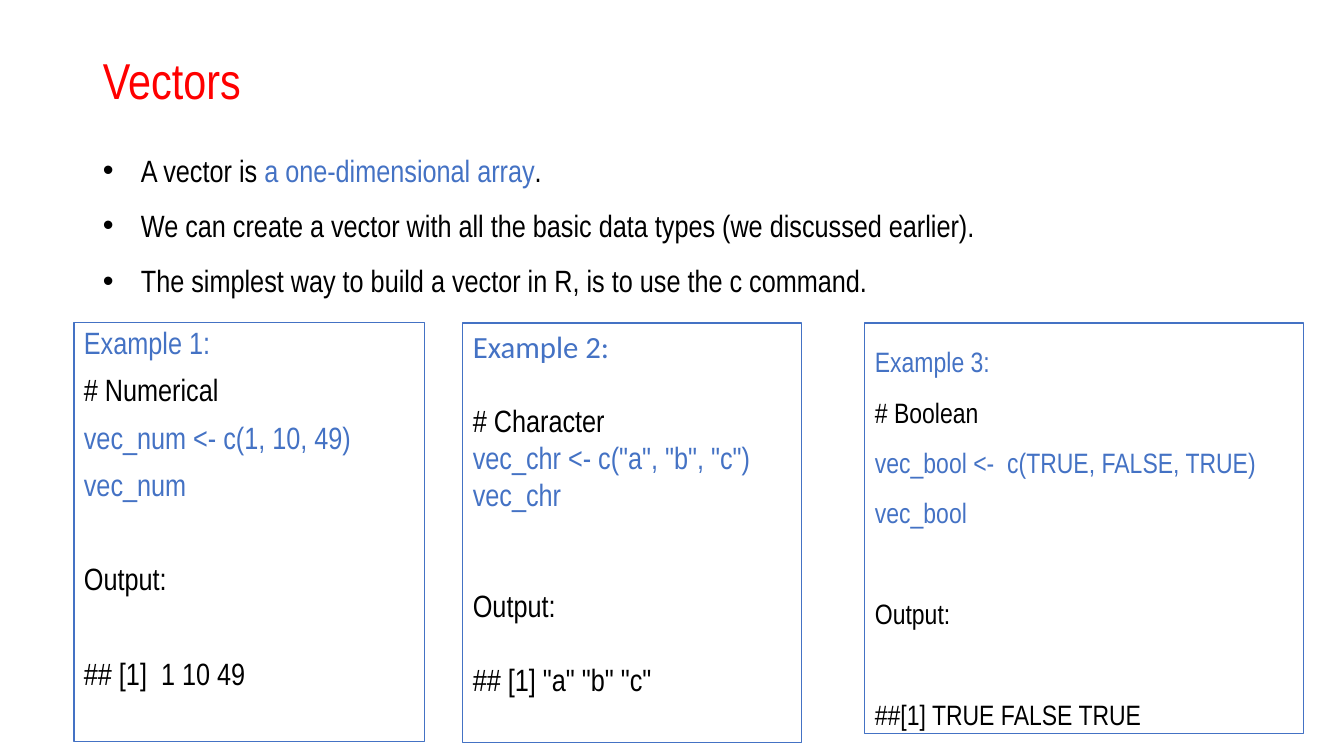
import pptx
import pptx.dml.color
import pptx.enum.text
import pptx.oxml
import pptx.oxml.ns
import pptx.util

PX = 914400 / 100.8
COLORS = {"title": "FF0000", "accent": "4472C4", "text": "000000"}
NARROW = "Arial Narrow"


def add_box(page, place, anchor=pptx.enum.text.MSO_ANCHOR.TOP):
    box = page.shapes.add_textbox(*[round(length * PX) for length in place])
    box.text_frame.word_wrap = True
    box.text_frame.vertical_anchor = anchor
    return box


def add_span(para, text, size, color, font=NARROW):
    span = para.add_run()
    span.text = text
    style = {"size": pptx.util.Pt(size), "name": font}
    for name, value in style.items():
        setattr(span.font, name, value)
    span.font.color.rgb = pptx.dml.color.RGBColor.from_string(COLORS[color])


deck = pptx.Presentation()
deck.slide_width = round(1344 * PX)
deck.slide_height = round(756 * PX)
page = deck.slides.add_slide(deck.slide_layouts[6])

# Title
title = add_box(page, (93, 40, 1159, 86), pptx.enum.text.MSO_ANCHOR.MIDDLE)
para = title.text_frame.paragraphs[0]
para.line_spacing = 0.9
add_span(para, "Vectors", 36, "title")

# Bullets
bullets = [
    [("A vector is ", "text"), ("a one-dimensional array", "accent"), (".", "text")],
    [("We can create a vector with all the basic data types (we discussed earlier).", "text")],
    [("The simplest way to build a vector in R, is to use the c command.", "text")],
]
box = add_box(page, (93, 128, 1159, 171))
for index, spans in enumerate(bullets):
    para = box.text_frame.add_paragraph() if index else box.text_frame.paragraphs[0]
    para.line_spacing = 1.5
    layout = para._p.get_or_add_pPr()
    layout.set("marL", str(round(38 * PX)))
    layout.set("indent", str(round(-38 * PX)))
    for tag, name, value in [("buFont", "typeface", "Arial"), ("buChar", "char", "•")]:
        mark = pptx.oxml.parse_xml(f'<a:{tag} {pptx.oxml.ns.nsdecls("a")} {name}="{value}"/>')
        layout.append(mark)
    for text, color in spans:
        add_span(para, text, 22, color)

# Examples: each line has text, color and the number of line gaps above it
examples = [
    {
        "place": (74, 323, 351, 419), "size": 22, "spacing": 0.9, "before": 10, "gap": 33.8,
        "heading font": NARROW,
        "lines": [("Example 1:", "accent", 0), ("# Numerical", "text", 0),
                  ("vec_num <- c(1, 10, 49)", "accent", 0), ("vec_num", "accent", 0),
                  ("Output:", "text", 1), ("## [1]  1 10 49", "text", 1)],
    },
    {
        "place": (463, 323, 339, 420), "size": 22, "spacing": 1.0, "before": 0, "gap": 26.4,
        "heading font": "Calibri",
        "lines": [("Example 2:", "accent", 0), ("# Character", "text", 1),
                  ('vec_chr <- c("a", "b", "c")', "accent", 0), ("vec_chr", "accent", 0),
                  ("Output:", "text", 2), ('## [1] "a" "b" "c"', "text", 1)],
    },
    {
        "place": (865, 323, 439, 411), "size": 20, "spacing": 1.5, "before": 0, "gap": 36,
        "heading font": NARROW,
        "lines": [("Example 3:", "accent", 0), ("# Boolean", "text", 0),
                  ("vec_bool <-  c(TRUE, FALSE, TRUE)", "accent", 0), ("vec_bool", "accent", 0),
                  ("Output:", "text", 1), ("##[1] TRUE FALSE TRUE", "text", 1)],
    },
]
for example in examples:
    box = add_box(page, example["place"])
    box.line.color.rgb = pptx.dml.color.RGBColor.from_string(COLORS["accent"])
    box.line.width = pptx.util.Pt(0.75)
    for index, (text, color, gaps) in enumerate(example["lines"]):
        para = box.text_frame.add_paragraph() if index else box.text_frame.paragraphs[0]
        para.line_spacing = example["spacing"]
        if index:
            para.space_before = pptx.util.Pt(example["before"] + gaps * example["gap"])
        font = NARROW if index else example["heading font"]
        add_span(para, text, example["size"], color, font)

deck.save("out.pptx")
